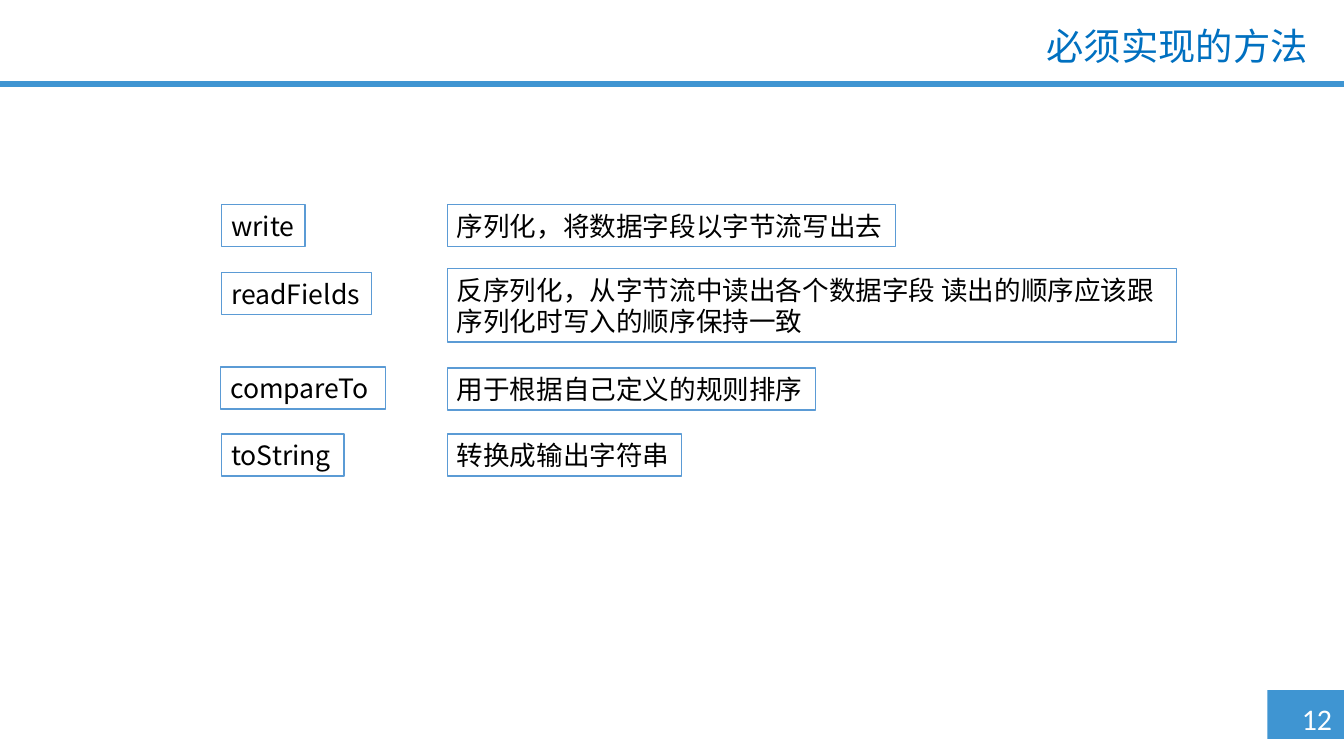
from dataclasses import dataclass

from pptx import Presentation
from pptx.dml.color import RGBColor
from pptx.enum.shapes import MSO_SHAPE
from pptx.enum.text import MSO_ANCHOR, PP_ALIGN
from pptx.oxml.ns import qn
from pptx.util import Inches, Pt


@dataclass(frozen=True)
class Theme:
    bar: str = "3F95D2"
    edge: str = "5B9BD5"
    title: str = "0070C0"
    ink: str = "000000"
    paper: str = "FFFFFF"
    head_font: str = "Lato"
    body_font: str = "Noto Sans CJK SC"
    page_font: str = "Calibri"
    head_size: float = 28.1
    body_size: float = 20
    page_size: float = 22.5


class Deck:
    """Draws styled elements on one slide."""

    def __init__(self, theme, width, height):
        self.theme = theme
        self.prs = Presentation()
        self.prs.slide_width = Inches(width)
        self.prs.slide_height = Inches(height)
        self.slide = self.prs.slides.add_slide(self.prs.slide_layouts[5])

    def add_text(self, para, text, font, size, color):
        run = para.add_run()
        run.text = text
        run.font.name = font
        run.font.size = Pt(size)
        run.font.color.rgb = RGBColor.from_string(color)
        props = run.font._element
        east = props.makeelement(qn("a:ea"), {"typeface": font})
        props.find(qn("a:latin")).addnext(east)

    def rect(self, left, top, width, height, fill, line=None):
        shape = self.slide.shapes.add_shape(
            MSO_SHAPE.RECTANGLE, Inches(left), Inches(top), Inches(width), Inches(height))
        shape.shadow.inherit = False
        shape.fill.solid()
        shape.fill.fore_color.rgb = RGBColor.from_string(fill)
        if line:
            shape.line.color.rgb = RGBColor.from_string(line)
            shape.line.width = Pt(1)
        else:
            shape.line.fill.background()
        return shape

    def title(self, text, left, top, width, height):
        shape = self.slide.shapes.title
        shape.left, shape.top = Inches(left), Inches(top)
        shape.width, shape.height = Inches(width), Inches(height)
        shape.text_frame.vertical_anchor = MSO_ANCHOR.MIDDLE
        para = shape.text_frame.paragraphs[0]
        para.alignment = PP_ALIGN.RIGHT
        para.line_spacing = 0.9
        self.add_text(para, text, self.theme.head_font, self.theme.head_size, self.theme.title)

    def label(self, text, left, top, width, height=0.44):
        frame = self.rect(left, top, width, height, self.theme.paper, self.theme.edge).text_frame
        frame.word_wrap = True
        frame.margin_right = Inches(0.05)
        frame.vertical_anchor = MSO_ANCHOR.MIDDLE
        para = frame.paragraphs[0]
        para.alignment = PP_ALIGN.LEFT
        self.add_text(para, text, self.theme.body_font, self.theme.body_size, self.theme.ink)

    def page(self, text, left, top, width, height):
        box = self.slide.shapes.add_textbox(
            Inches(left), Inches(top), Inches(width), Inches(height))
        box.text_frame.word_wrap = True
        para = box.text_frame.paragraphs[0]
        self.add_text(para, text, self.theme.page_font, self.theme.page_size, self.theme.paper)


def main():
    theme = Theme()
    deck = Deck(theme, 14.06, 7.91)
    deck.rect(13.26, 7.22, 0.8, 0.51, theme.bar)
    deck.rect(0, 0.85, 14.06, 0.06, theme.bar)
    deck.page("12", 13.52, 7.28, 0.65, 0.48)
    deck.title("必须实现的方法", 10.02, 0.22, 3.76, 0.57)

    names = [
        ("write", 2.32, 2.14, 0.87),
        ("readFields", 2.32, 2.85, 1.57),
        ("compareTo", 2.31, 3.84, 1.72),
        ("toString", 2.32, 4.54, 1.28),
    ]
    notes = [
        ("序列化，将数据字段以字节流写出去", 2.14, 4.69, 0.44),
        ("反序列化，从字节流中读出各个数据字段 读出的顺序应该跟序列化时写入的顺序保持一致",
         2.81, 7.63, 0.77),
        ("用于根据自己定义的规则排序", 3.85, 3.85, 0.44),
        ("转换成输出字符串", 4.54, 2.45, 0.44),
    ]
    for name in names:
        deck.label(*name)
    for text, top, width, height in notes:
        deck.label(text, 4.68, top, width, height)

    deck.prs.save("out.pptx")


if __name__ == "__main__":
    main()
